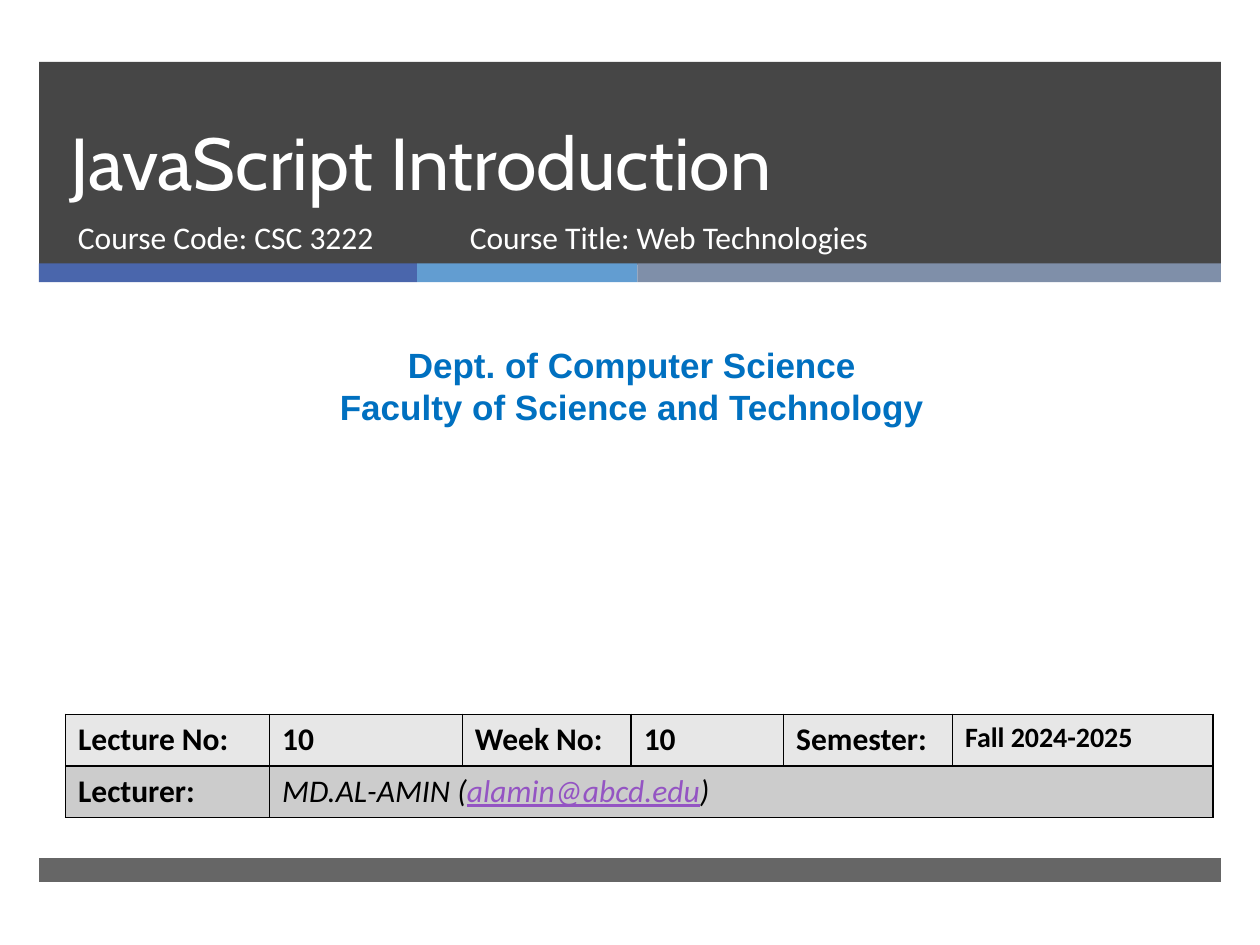
from lxml import etree
from pptx import Presentation
from pptx.dml.color import RGBColor
from pptx.enum.shapes import MSO_SHAPE
from pptx.enum.text import MSO_ANCHOR, PP_ALIGN
from pptx.oxml import parse_xml
from pptx.oxml.ns import nsdecls, qn
from pptx.util import Inches, Pt

rgb = RGBColor.from_string


def add_run(p, text, size, color, font="Calibri", bold=False, italic=False, underline=False):
    r = p.add_run()
    r.text = text
    f = r.font
    f.size, f.name, f.color.rgb = Pt(size), font, rgb(color)
    f.bold, f.italic, f.underline = bold, italic, underline


def add_text(left, top, width, height, lines, size, color, font="Calibri", bold=False):
    """Add a wrapping text box with one paragraph per line; return its frame."""
    tb = s.shapes.add_textbox(Inches(left), Inches(top), Inches(width), Inches(height))
    tf = tb.text_frame
    tf.word_wrap = True
    for i, line in enumerate(lines):
        p = tf.paragraphs[0] if i == 0 else tf.add_paragraph()
        add_run(p, line, size, color, font, bold)
    return tf


prs = Presentation()
prs.slide_width, prs.slide_height = Inches(10), Inches(7.5)
s = prs.slides.add_slide(prs.slide_layouts[6])

# Header, accent stripes and footer: left, top, width, height, colour, opacity %
bands = [
    (0.31, 0.49, 9.38, 1.61, "262626", 85),
    (0.31, 2.09, 3, 0.15, "4A66AC", 100),
    (3.31, 2.09, 1.75, 0.15, "629DD1", 100),
    (5.06, 2.09, 4.63, 0.15, "7F8FA9", 100),
    (0.31, 6.81, 9.38, 0.19, "262626", 70),
]
for *box, color, opacity in bands:
    sp = s.shapes.add_shape(MSO_SHAPE.RECTANGLE, *map(Inches, box))
    sp.shadow.inherit = False
    sp.line.fill.background()
    sp.fill.solid()
    sp.fill.fore_color.rgb = rgb(color)
    if opacity < 100:
        clr = sp.fill._xPr.find(qn("a:solidFill"))[0]
        etree.SubElement(clr, qn("a:alpha"), val=str(opacity * 1000))

# Title and course details
tf = add_text(0.46, 0.49, 8.54, 1.19, ["JavaScript Introduction"], 42, "FFFFFF", "Cabin")
tf.vertical_anchor = MSO_ANCHOR.BOTTOM
tf.paragraphs[0].line_spacing = Pt(46)
add_text(0.52, 1.68, 3.05, 0.53, ["Course Code: CSC 3222"], 18, "FFFFFF")
add_text(3.63, 1.68, 4.55, 0.53, ["Course Title: Web Technologies"], 18, "FFFFFF")

tf = add_text(0.08, 2.68, 9.87, 0.77,
              ["Dept. of Computer Science", "Faculty of Science and Technology"],
              20, "0070C0", "Arial", bold=True)
for p in tf.paragraphs:
    p.alignment = PP_ALIGN.CENTER

# Lecture table
col_widths = [1.62, 1.53, 1.34, 1.21, 1.34, 2.07]
table = s.shapes.add_table(2, len(col_widths), Inches(0.52), Inches(5.67),
                           Inches(9.12), Inches(0.83)).table
for col, width in zip(table.columns, col_widths):
    col.width = Inches(width)
for row, fill in zip(table.rows, ["E7E7E7", "CCCCCC"]):
    row.height = Inches(0.41)
    for cell in row.cells:
        cell.fill.solid()
        cell.fill.fore_color.rgb = rgb(fill)
        tcPr = cell._tc.get_or_add_tcPr()
        for i, side in enumerate(["lnL", "lnR", "lnT", "lnB"]):
            tcPr.insert(i, parse_xml(
                f'<a:{side} {nsdecls("a")} w="12700"><a:solidFill>'
                f'<a:srgbClr val="000000"/></a:solidFill></a:{side}>'))
table.cell(1, 1).merge(table.cell(1, 5))

headings = ["Lecture No:", "10", "Week No:", "10", "Semester:", "Fall 2024-2025"]
for c, text in enumerate(headings):
    size = 16 if c == 5 else 18
    add_run(table.cell(0, c).text_frame.paragraphs[0], text, size, "000000", bold=True)
add_run(table.cell(1, 0).text_frame.paragraphs[0], "Lecturer:", 18, "000000", bold=True)
p = table.cell(1, 1).text_frame.paragraphs[0]
add_run(p, "MD.AL-AMIN (", 18, "000000", italic=True)
add_run(p, "alamin@abcd.edu", 18, "9454C3", italic=True, underline=True)
add_run(p, ")", 18, "000000", italic=True)

prs.save("out.pptx")
